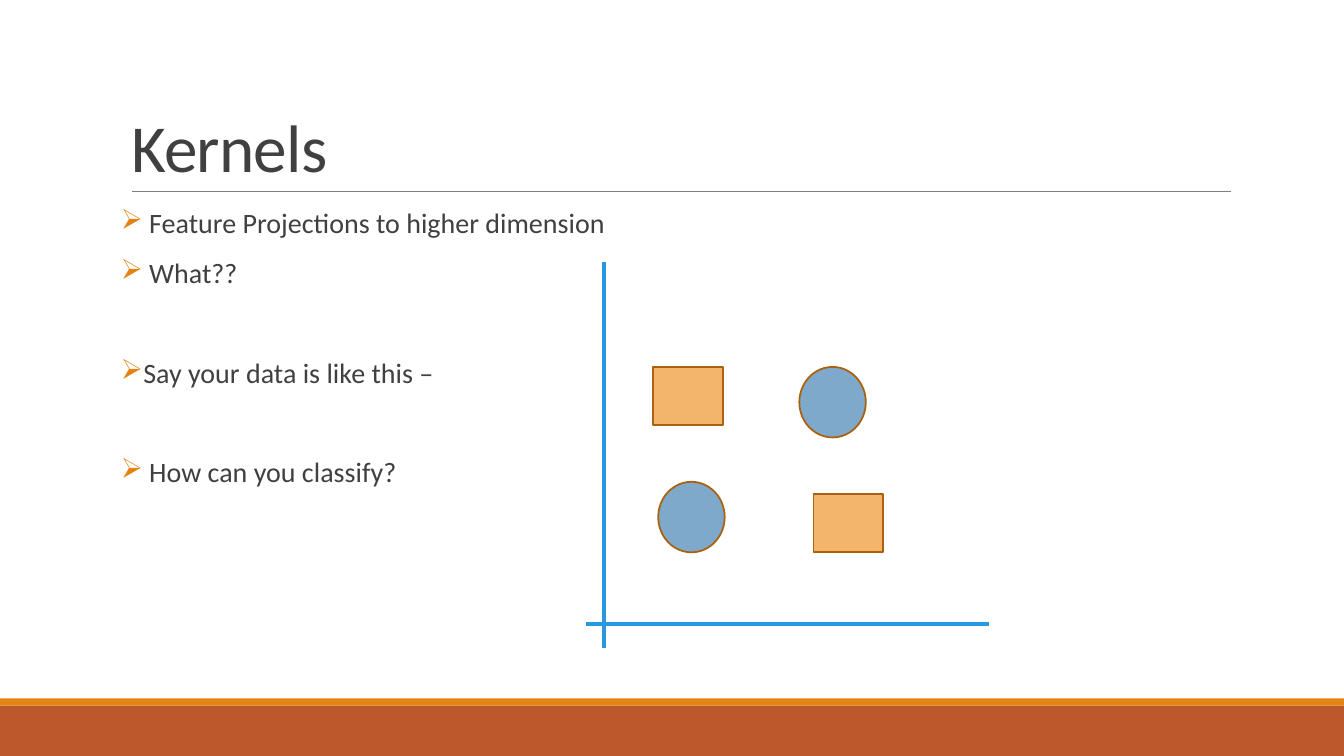
"""Build the Kernels slide: bullets beside a scatter of two classes."""
from dataclasses import dataclass

from lxml import etree
from pptx import Presentation
from pptx.dml.color import RGBColor
from pptx.enum.shapes import MSO_CONNECTOR, MSO_SHAPE
from pptx.enum.text import MSO_ANCHOR, MSO_AUTO_SIZE, PP_ALIGN
from pptx.oxml.ns import qn
from pptx.shapes.autoshape import Shape
from pptx.shapes.shapetree import _BaseGroupShapes
from pptx.text.text import _Paragraph, _Run
from pptx.util import Emu, Inches, Pt

RECTANGLE, OVAL = MSO_SHAPE.RECTANGLE, MSO_SHAPE.OVAL
STRAIGHT = MSO_CONNECTOR.STRAIGHT
BOTTOM, TOP = MSO_ANCHOR.BOTTOM, MSO_ANCHOR.TOP
NO_FIT = MSO_AUTO_SIZE.NONE
LEFT = PP_ALIGN.LEFT
TITLE_ONLY = 5
WIDTH, HEIGHT = Inches(13.333), Inches(7.5)
COLUMNS, ROWS = 160, 90


@dataclass(frozen=True)
class Theme:
    """Colours, font and point sizes of the slide."""
    font: str = "Calibri"
    text: str = "404040"
    accent: str = "E48312"
    footer: str = "BD582C"
    rule: str = "808080"
    axis: str = "2998E3"
    square: str = "F3B56C"
    circle: str = "7EA9CA"
    outline: str = "A9610D"
    title_size: float = 48
    body_size: float = 20
    rule_width: float = 0.5
    axis_width: float = 3
    outline_width: float = 1.25


@dataclass(frozen=True)
class Box:
    """A rectangle in grid columns and rows."""
    column: float
    row: float
    columns: float
    rows: float

    def emu(self) -> tuple[Emu, Emu, Emu, Emu]:
        """Return left, top, width and height."""
        return (across(self.column), down(self.row),
                across(self.columns), down(self.rows))


@dataclass(frozen=True)
class Segment:
    """A straight line between two grid points."""
    start: tuple[float, float]
    end: tuple[float, float]
    color: str
    width: float


@dataclass(frozen=True)
class Mark:
    """A filled shape, outlined if it is a data point."""
    kind: MSO_SHAPE
    box: Box
    fill: str
    outlined: bool = False


@dataclass(frozen=True)
class Bullet:
    """A bulleted line with its indent in inches and space before in points."""
    text: str
    indent: float = 0.28
    before: float = 12


THEME = Theme()
TITLE_BOX = Box(14.4, 3.72, 132, 19.08)
BODY_BOX = Box(14.4, 24.36, 132, 52.8)
TITLE_RULE = Segment((15.72, 22.8), (146.5, 22.8), THEME.rule, THEME.rule_width)
FOOTER_BANDS = [
    Mark(RECTANGLE, Box(0, 84, COLUMNS, 6), THEME.footer),
    Mark(RECTANGLE, Box(0, 83.16, COLUMNS, 0.84), THEME.accent),
]
AXES = [
    Segment((71.88, 31.2), (71.88, 77.16), THEME.axis, THEME.axis_width),
    Segment((69.72, 74.28), (117.72, 74.28), THEME.axis, THEME.axis_width),
]
SQUARES = [Mark(RECTANGLE, Box(column, row, 8.28, 6.96), THEME.square, True)
           for column, row in ((77.76, 43.68), (96.84, 58.8))]
CIRCLES = [Mark(OVAL, Box(column, row, 7.92, 8.4), THEME.circle, True)
           for column, row in ((95.16, 43.68), (78.36, 57.36))]
BULLETS = [
    Bullet("Feature Projections to higher dimension", before=0),
    Bullet("What??"),
    Bullet("Say your data is like this –", indent=0.1, before=47.6),
    Bullet("How can you classify?", before=47.6),
]


def across(columns: float) -> Emu:
    """Turn grid columns into a length."""
    return Emu(round(WIDTH * columns / COLUMNS))


def down(rows: float) -> Emu:
    """Turn grid rows into a length."""
    return Emu(round(HEIGHT * rows / ROWS))


def rgb(color: str) -> RGBColor:
    """Turn a hex string into a colour."""
    return RGBColor.from_string(color)


def draw_segment(shapes: _BaseGroupShapes, segment: Segment) -> None:
    """Draw one straight line."""
    (x1, y1), (x2, y2) = segment.start, segment.end
    line = shapes.add_connector(STRAIGHT, across(x1), down(y1), across(x2), down(y2))
    line.line.color.rgb = rgb(segment.color)
    line.line.width = Pt(segment.width)
    etree.SubElement(line._element.spPr, qn("a:effectLst"))


def draw_mark(shapes: _BaseGroupShapes, mark: Mark) -> None:
    """Draw one filled shape."""
    shape = shapes.add_shape(mark.kind, *mark.box.emu())
    shape.shadow.inherit = False
    shape.fill.solid()
    shape.fill.fore_color.rgb = rgb(mark.fill)
    if mark.outlined:
        shape.line.color.rgb = rgb(THEME.outline)
        shape.line.width = Pt(THEME.outline_width)
    else:
        shape.line.fill.background()


def add_run(paragraph: _Paragraph, text: str, size: float) -> _Run:
    """Add one run in the slide's font and text colour."""
    run = paragraph.add_run()
    run.text = text
    run.font.name = THEME.font
    run.font.size = Pt(size)
    run.font.color.rgb = rgb(THEME.text)
    return run


def write_title(title: Shape, text: str) -> None:
    """Place and format the title placeholder."""
    title.left, title.top, title.width, title.height = TITLE_BOX.emu()
    frame = title.text_frame
    frame.auto_size = NO_FIT
    frame.vertical_anchor = BOTTOM
    heading = frame.paragraphs[0]
    heading.alignment = LEFT
    heading.line_spacing = 0.85
    run = add_run(heading, text, THEME.title_size)
    run.font._element.set("spc", "-50")


def write_bullet(paragraph: _Paragraph, bullet: Bullet) -> None:
    """Write one arrow-bulleted paragraph."""
    properties = paragraph._p.get_or_add_pPr()
    properties.set("marL", str(Inches(bullet.indent)))
    properties.set("indent", str(-Inches(bullet.indent)))
    color = etree.SubElement(properties, qn("a:buClr"))
    etree.SubElement(color, qn("a:srgbClr"), val=THEME.accent)
    etree.SubElement(properties, qn("a:buChar"), char="➢")
    paragraph.line_spacing = 0.9
    paragraph.space_before = Pt(bullet.before)
    paragraph.space_after = Pt(2)
    add_run(paragraph, bullet.text, THEME.body_size)


def write_body(shapes: _BaseGroupShapes) -> None:
    """Write the bulleted list."""
    frame = shapes.add_textbox(*BODY_BOX.emu()).text_frame
    frame.word_wrap = True
    frame.vertical_anchor = TOP
    frame.margin_left = frame.margin_right = 0
    for index, bullet in enumerate(BULLETS):
        write_bullet(frame.add_paragraph() if index else frame.paragraphs[0], bullet)


def main() -> None:
    """Build and save the slide."""
    deck = Presentation()
    deck.slide_width, deck.slide_height = WIDTH, HEIGHT
    shapes = deck.slides.add_slide(deck.slide_layouts[TITLE_ONLY]).shapes
    for band in FOOTER_BANDS:
        draw_mark(shapes, band)
    draw_segment(shapes, TITLE_RULE)
    write_title(shapes.title, "Kernels")
    write_body(shapes)
    scatter = shapes.add_group_shape().shapes
    for axis in AXES:
        draw_segment(scatter, axis)
    for point in SQUARES + CIRCLES:
        draw_mark(scatter, point)
    deck.save("out.pptx")


if __name__ == "__main__":
    main()
